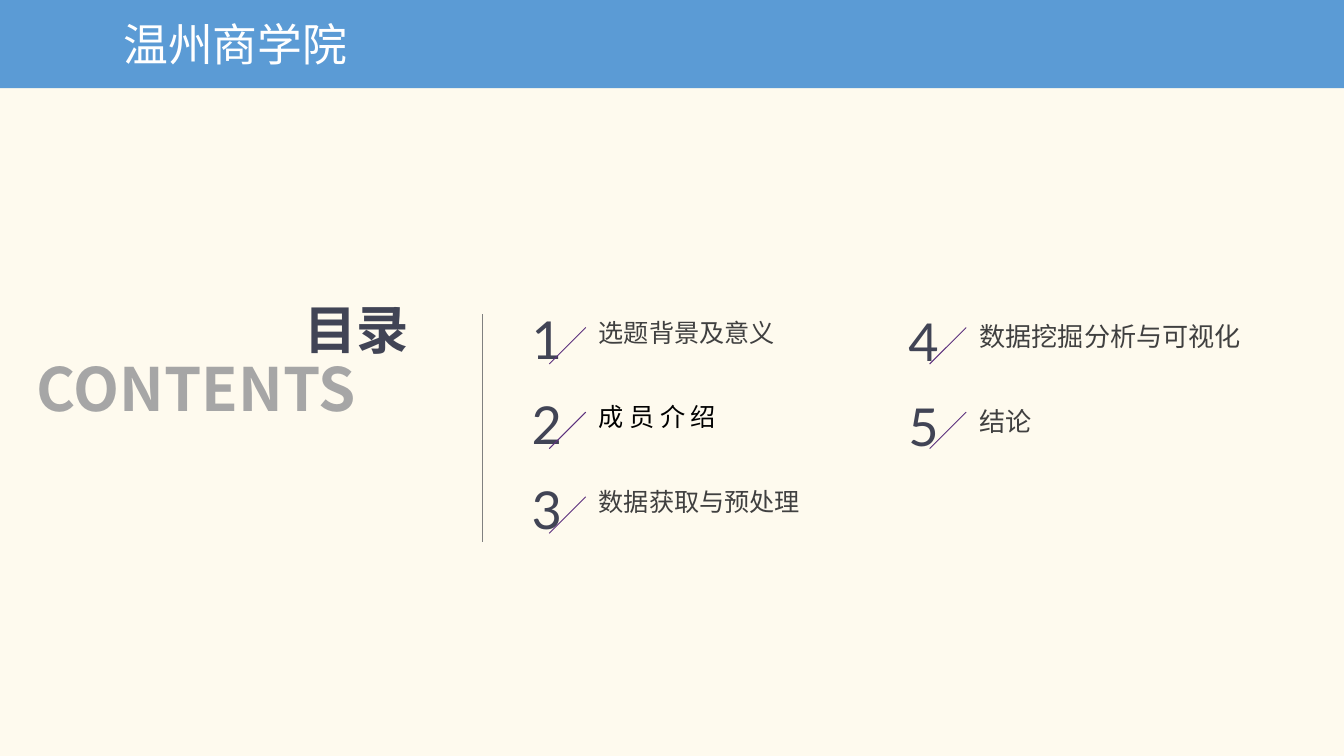
from dataclasses import dataclass

from pptx import Presentation
from pptx.dml.color import RGBColor
from pptx.enum.shapes import MSO_CONNECTOR, MSO_SHAPE
from pptx.enum.text import MSO_AUTO_SIZE, PP_ALIGN
from pptx.oxml.ns import qn
from pptx.util import Cm, Pt


@dataclass(frozen=True)
class Theme:
    background: str = "FEFAEE"
    banner: str = "5B9BD5"
    white: str = "FFFFFF"
    dark: str = "414455"
    gray: str = "A6A6A6"
    body: str = "404040"
    black: str = "000000"
    slash: str = "5C307D"
    divider: str = "808080"
    chinese_font: str = "Noto Sans CJK SC"
    number_font: str = "Lato"
    banner_size: float = 24
    heading_size: float = 28
    subheading_size: float = 32
    number_size: float = 28
    hairline: float = 0.5


THEME = Theme()


def add_text(slide, box, text, size, color, font_name=THEME.chinese_font,
             bold=False, align=PP_ALIGN.LEFT, spacing=0, wrap=False):
    shape = slide.shapes.add_textbox(*map(Cm, box))
    frame = shape.text_frame
    frame.word_wrap = wrap
    frame.auto_size = MSO_AUTO_SIZE.SHAPE_TO_FIT_TEXT
    paragraph = frame.paragraphs[0]
    paragraph.alignment = align
    run = paragraph.add_run()
    run.text = text
    formats = {"size": Pt(size), "name": font_name, "bold": bold}
    for name, value in formats.items():
        setattr(run.font, name, value)
    run.font.color.rgb = RGBColor.from_string(color)
    # East Asian typeface and letter spacing
    properties = run.font._element
    east_asian = properties.makeelement(qn("a:ea"), {"typeface": font_name})
    properties.find(qn("a:latin")).addnext(east_asian)
    if spacing:
        properties.set("spc", str(spacing * 100))


def add_line(slide, start, end, color):
    line = slide.shapes.add_connector(
        MSO_CONNECTOR.STRAIGHT, *map(Cm, (*start, *end)))
    line.line.color.rgb = RGBColor.from_string(color)
    line.line.width = Pt(THEME.hairline)
    properties = line._element.spPr
    properties.append(properties.makeelement(qn("a:effectLst"), {}))


def add_banner(slide, left, top, width, height):
    shape = slide.shapes.add_shape(
        MSO_SHAPE.RECTANGLE, *map(Cm, (left, top, width, height)))
    shape.shadow.inherit = False
    shape.fill.solid()
    shape.fill.fore_color.rgb = RGBColor.from_string(THEME.banner)
    shape.line.fill.background()
    add_text(slide, (left + 2.08, top + 0.2, 4.75, 1.27), "温州商学院",
             THEME.banner_size, THEME.white)


def add_heading(slide, left, top, width, height):
    add_text(slide, (left, top + 1.04, width, 1.63), "CONTENTS",
             THEME.subheading_size, THEME.gray, bold=True, wrap=True)
    add_text(slide, (left + 5.05, top, 2.51, 1.45), "目录",
             THEME.heading_size, THEME.dark, bold=True)
    # Divider at the right edge
    right = left + width
    add_line(slide, (right, top + 0.45), (right, top + height), THEME.divider)


def add_contents_column(slide, left, top, width, row_pitch, label_left,
                        number_drop, label_drop, size, first_number, entries):
    for row, (label, color, spacing) in enumerate(entries):
        row_top = top + row * row_pitch
        label_x = left + label_left
        add_text(slide, (label_x, row_top + label_drop, width - label_left, 0.85),
                 label, size, color, spacing=spacing)
        add_text(slide, (left, row_top + number_drop, 1.02, 1.45),
                 str(first_number + row), THEME.number_size, THEME.dark,
                 THEME.number_font, align=PP_ALIGN.CENTER)
        add_line(slide, (label_x, row_top + 0.5),
                 (label_x - 0.69, row_top + 1.19), THEME.slash)


def main():
    presentation = Presentation()
    presentation.slide_width, presentation.slide_height = Cm(25.4), Cm(14.29)
    slide = presentation.slides.add_slide(presentation.slide_layouts[6])
    slide.background.fill.solid()
    slide.background.fill.fore_color.rgb = RGBColor.from_string(THEME.background)

    add_banner(slide, 0, 0, 25.4, 1.67)
    add_heading(slide, 0.45, 5.49, 8.67, 4.75)

    # Two columns of numbered entries on a shared row grid
    add_contents_column(
        slide, 9.8, 5.69, 5.59, 1.6, 1.27, 0, 0.18, 13.5, 1,
        [("选题背景及意义", THEME.body, 0),
         ("成员介绍", THEME.black, 3),
         ("数据获取与预处理", THEME.body, 0)])
    add_contents_column(
        slide, 16.92, 5.69, 6.85, 1.6, 1.34, 0.03, 0.25, 14, 4,
        [("数据挖掘分析与可视化", THEME.body, 0),
         ("结论", THEME.body, 0)])

    presentation.save("out.pptx")


if __name__ == "__main__":
    main()
